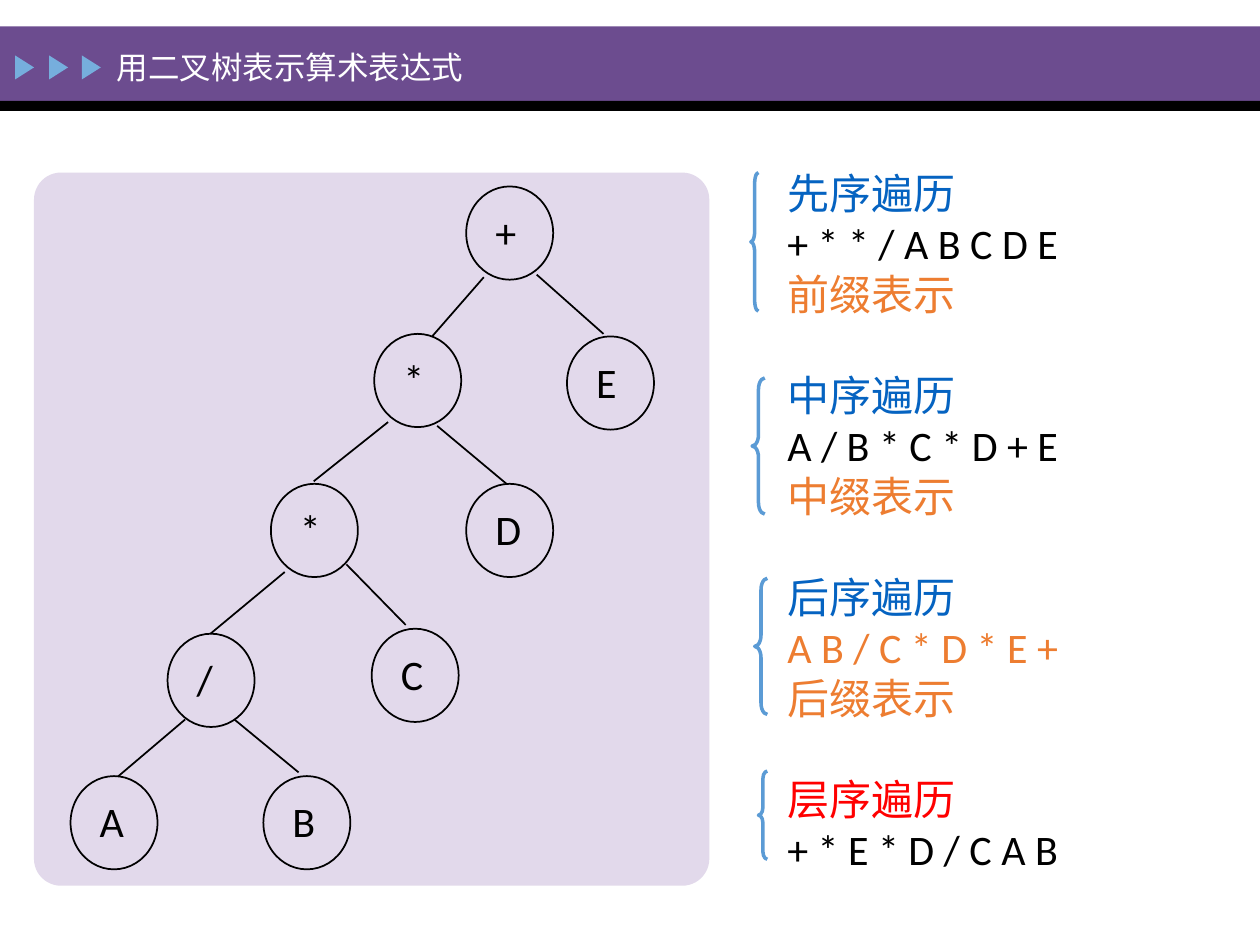
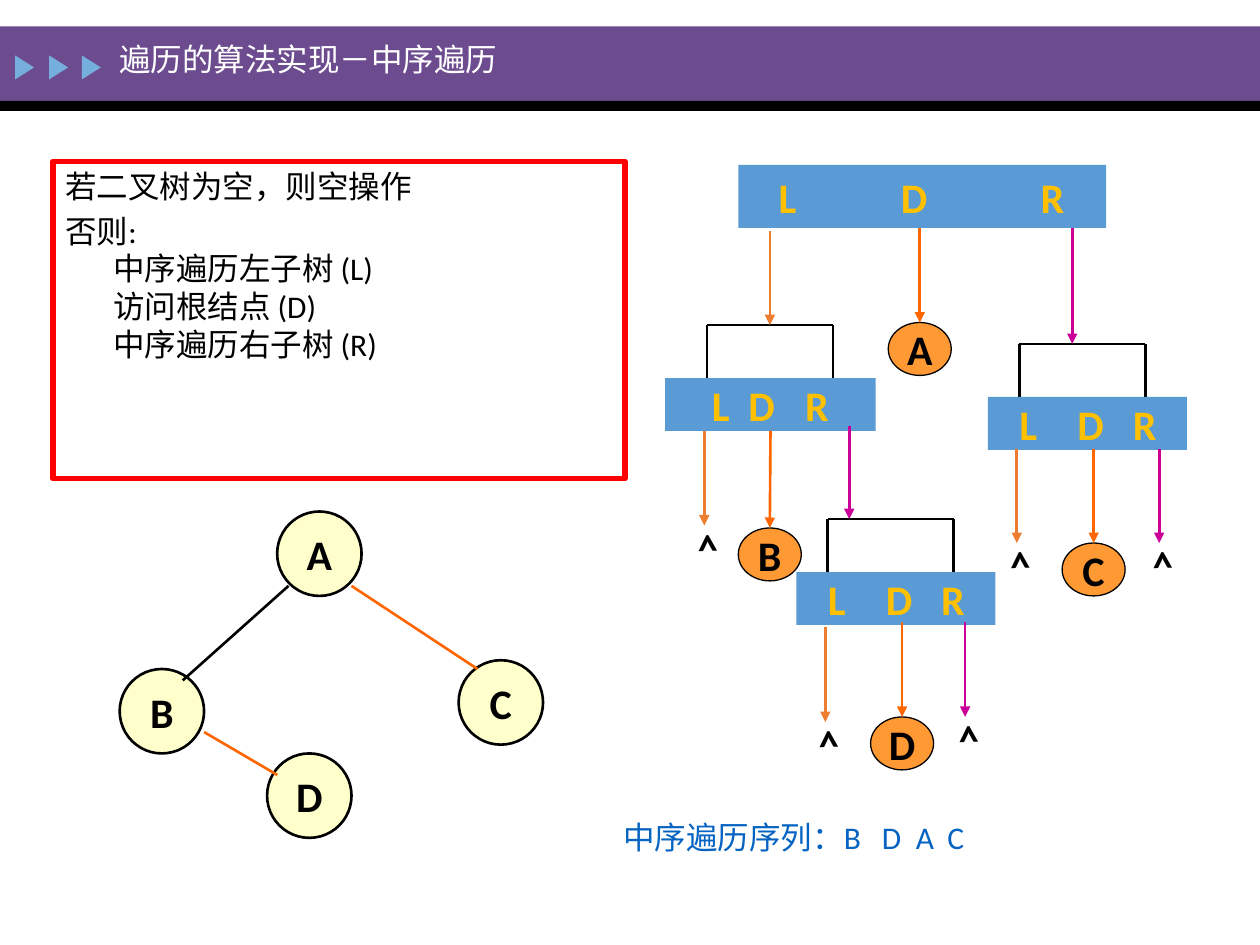
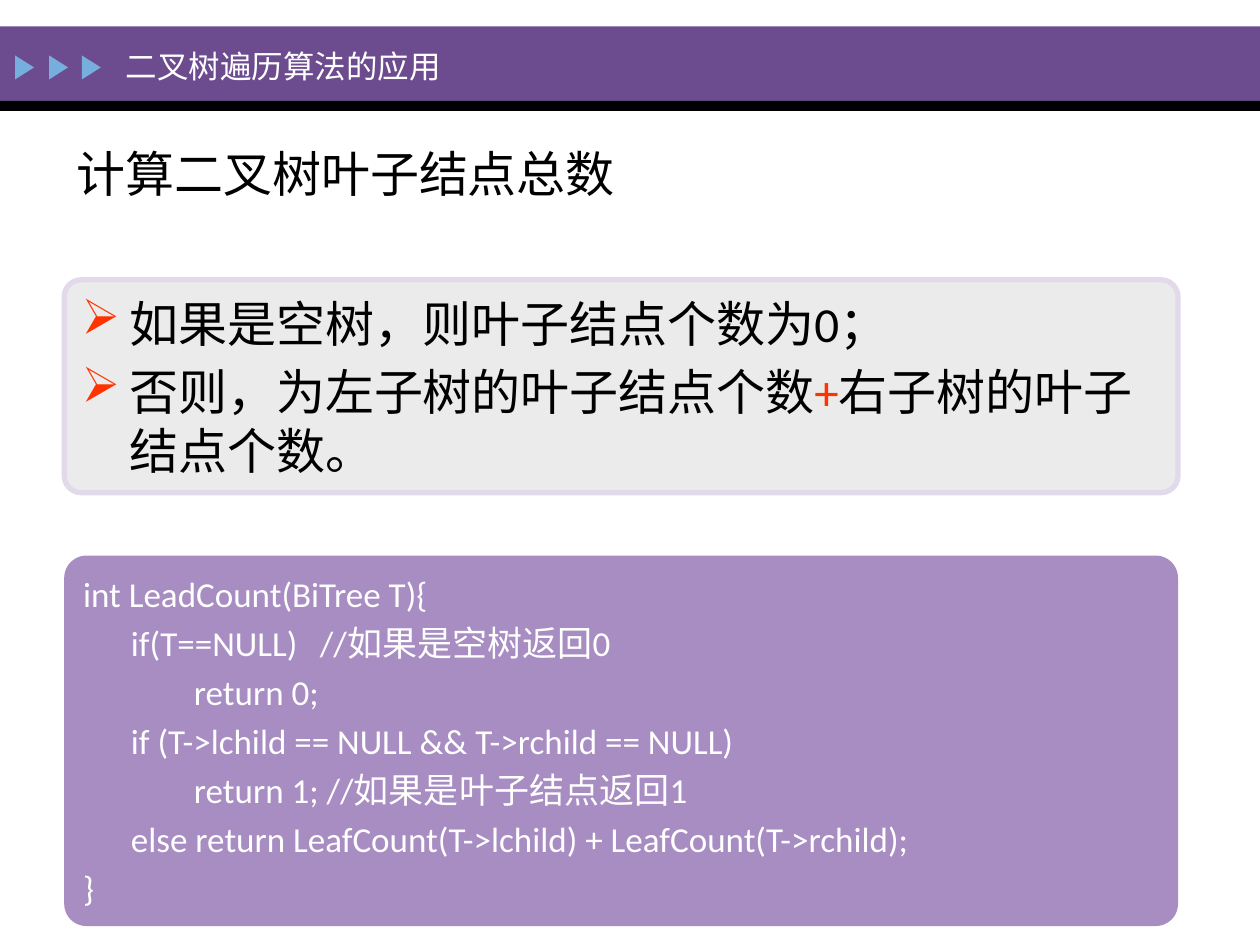
from dataclasses import dataclass
from typing import NamedTuple

from lxml.etree import SubElement
from pptx import Presentation
from pptx.dml.color import RGBColor
from pptx.enum.shapes import MSO_CONNECTOR, MSO_SHAPE
from pptx.enum.text import MSO_ANCHOR, PP_ALIGN
from pptx.oxml.ns import qn
from pptx.util import Emu, Pt

PX = 9144  # 100 px to the inch
FONT = "Calibri"
BLACK, WHITE, RED = "000000", "FFFFFF", "FF0000"
PURPLE, LILAC, VIOLET = "6C4C8F", "E2D9EB", "A78DC2"
BLUE, LINK_BLUE, SKY = "5B9BD5", "0563C1", "76AEDD"
ORANGE, VISIT_ORANGE, MAGENTA = "ED7D31", "FF6600", "CC0099"
GOLD, CREAM, APRICOT = "FFC000", "FFFFCC", "FF9933"
GREY, BULLET_RED = "EBEBEB", "FF3300"
HANGING = 38


class Box(NamedTuple):
    left: int
    top: int
    width: int
    height: int


class Edge(NamedTuple):
    x1: int
    y1: int
    x2: int
    y2: int
    color: str = BLACK


class Node(NamedTuple):
    label: str
    left: int
    top: int


class Span(NamedTuple):
    text: str
    color: str = BLACK


@dataclass(frozen=True)
class Line:
    spans: tuple[Span, ...]
    before: float = 0
    hanging: bool = False
    bullet: str = ""
    tabs: tuple[int, ...] = ()


@dataclass(frozen=True)
class Traversal:
    name: str
    sequence: str
    brace: Box
    curl: float
    notation: str = ""
    name_color: str = LINK_BLUE
    sequence_color: str = BLACK


@dataclass(frozen=True)
class Call:
    """One recursive call: its L D R bar, and the bracket and arrow above it."""
    bar: Box
    bracket_left: int
    arrow_x: int
    arrow_top: int
    arrow_color: str
    inset: int
    tabs: tuple[int, ...]


def px(value: float) -> Emu:
    return Emu(round(value * PX))


def rgb(color: str) -> RGBColor:
    return RGBColor.from_string(color)


def plain(text: str, color: str = BLACK, **layout) -> Line:
    return Line((Span(text, color),), **layout)


def add_bullet(properties, bullet: str) -> None:
    tint = SubElement(properties, qn("a:buClr"))
    SubElement(tint, qn("a:srgbClr"), val=BULLET_RED)
    SubElement(properties, qn("a:buChar"), char=bullet)


def add_tabs(properties, tabs: tuple[int, ...]) -> None:
    stops = SubElement(properties, qn("a:tabLst"))
    for stop in tabs:
        SubElement(stops, qn("a:tab"), pos=str(px(stop)), algn="l")


def write(frame, lines: list[Line], size: int, bold: bool = False,
          align=PP_ALIGN.LEFT, anchor=MSO_ANCHOR.TOP) -> None:
    frame.word_wrap = True
    frame.vertical_anchor = anchor
    for index, line in enumerate(lines):
        paragraph = frame.add_paragraph() if index else frame.paragraphs[0]
        paragraph.alignment = align
        if index and line.before:
            paragraph.space_before = Pt(line.before)
        properties = paragraph._p.get_or_add_pPr()
        if line.hanging:
            properties.set("marL", str(px(HANGING)))
            properties.set("indent", str(px(-HANGING)))
        if line.bullet:
            add_bullet(properties, line.bullet)
        if line.tabs:
            add_tabs(properties, line.tabs)
        for span in line.spans:
            for row, piece in enumerate(span.text.split("\n")):
                if row:
                    paragraph.add_line_break()
                run = paragraph.add_run()
                run.text = piece
                run.font.name = FONT
                run.font.size = Pt(size)
                run.font.bold = bold
                run.font.color.rgb = rgb(span.color)


def add_shape(slide, kind, box: Box, fill: str = "", line: str = "",
              weight: float = 1, adjust: float | None = None):
    shape = slide.shapes.add_shape(kind, *map(px, box))
    shape.shadow.inherit = False
    if fill:
        shape.fill.solid()
        shape.fill.fore_color.rgb = rgb(fill)
    else:
        shape.fill.background()
    if line:
        shape.line.color.rgb = rgb(line)
        shape.line.width = Pt(weight)
    else:
        shape.line.fill.background()
    if adjust is not None:
        shape.adjustments[0] = adjust
    return shape


def add_text(slide, box: Box, lines: list[Line], size: int, **layout):
    label = slide.shapes.add_textbox(*map(px, box))
    write(label.text_frame, lines, size, **layout)
    return label


def add_edge(slide, edge: Edge, weight: float = 1.5, arrow: bool = False):
    ends = map(px, (edge.x1, edge.y1, edge.x2, edge.y2))
    connector = slide.shapes.add_connector(MSO_CONNECTOR.STRAIGHT, *ends)
    connector.line.color.rgb = rgb(edge.color)
    connector.line.width = Pt(weight)
    if arrow:
        SubElement(connector.line._ln, qn("a:tailEnd"), type="triangle")
    SubElement(connector._element.spPr, qn("a:effectLst"))
    return connector


def add_titled_slide(deck, title: str, box: Box):
    slide = deck.slides.add_slide(deck.slide_layouts[6])
    add_shape(slide, MSO_SHAPE.RECTANGLE, Box(0, 21, 1000, 59), PURPLE)
    add_shape(slide, MSO_SHAPE.RECTANGLE, Box(0, 80, 1000, 8), BLACK)
    for left in (10, 37, 63):
        pointer = add_shape(slide, MSO_SHAPE.ISOSCELES_TRIANGLE,
                            Box(left, 46, 19, 15), SKY)
        pointer.rotation = 90
    add_text(slide, box, [plain(title, WHITE)], 18, anchor=MSO_ANCHOR.MIDDLE)
    return slide


def add_disc(slide, node: Node, width: int, height: int, fill: str, weight: float):
    disc = add_shape(slide, MSO_SHAPE.OVAL, Box(node.left, node.top, width, height),
                     fill, BLACK, weight)
    frame = disc.text_frame
    write(frame, [plain(node.label)], 24, bold=True,
          align=PP_ALIGN.CENTER, anchor=MSO_ANCHOR.MIDDLE)
    frame.word_wrap = False
    return disc


EXPRESSION_NODES = [
    Node("+", 370, 148), Node("*", 297, 265), Node("E", 450, 267),
    Node("*", 215, 384), Node("D", 370, 384), Node("/", 133, 503),
    Node("C", 295, 499), Node("A", 56, 616), Node("B", 209, 616),
]
EXPRESSION_EDGES = [
    Edge(384, 220, 343, 267), Edge(426, 218, 479, 265),
    Edge(308, 335, 249, 382), Edge(347, 338, 402, 384),
    Edge(226, 454, 167, 503), Edge(275, 448, 322, 496),
    Edge(147, 571, 94, 616), Edge(186, 571, 237, 613),
]
TRAVERSALS = [
    Traversal("先序遍历", "+ * * / A B C D E", Box(596, 137, 6, 110), 1.42, "前缀表示"),
    Traversal("中序遍历", "A / B * C * D + E", Box(597, 300, 10, 108), 0.9, "中缀表示"),
    Traversal("后序遍历", "A B / C * D * E +", Box(599, 459, 10, 108), 0.9, "后缀表示",
              sequence_color=ORANGE),
    Traversal("层序遍历", "+ * E * D / C A B", Box(602, 612, 7, 70), 0.86,
              name_color=RED),
]


def build_expression_slide(deck) -> None:
    slide = add_titled_slide(deck, "用二叉树表示算术表达式", Box(83, 25, 586, 56))
    add_shape(slide, MSO_SHAPE.ROUNDED_RECTANGLE, Box(27, 137, 536, 566), LILAC,
              adjust=0.04)
    for node in EXPRESSION_NODES:
        disc = add_shape(slide, MSO_SHAPE.OVAL, Box(node.left, node.top, 69, 74),
                         line=BLACK)
        frame = disc.text_frame
        frame.margin_left, frame.margin_right = px(13), 0
        write(frame, [plain(node.label)], 24)
    for edge in EXPRESSION_EDGES:
        add_edge(slide, edge, weight=1)

    lines = []
    for traversal in TRAVERSALS:
        lines.append(plain(traversal.name, traversal.name_color, before=29))
        lines.append(plain(traversal.sequence, traversal.sequence_color))
        if traversal.notation:
            lines.append(plain(traversal.notation, ORANGE))
        add_shape(slide, MSO_SHAPE.LEFT_BRACE, traversal.brace, line=BLUE, weight=2,
                  adjust=traversal.curl)
    add_text(slide, Box(615, 128, 266, 576), lines, 24)


TREE_NODES = [Node("A", 220, 406), Node("D", 212, 598),
              Node("B", 95, 531), Node("C", 364, 524)]
TREE_EDGES = [Edge(229, 465, 145, 540), Edge(279, 465, 379, 531, VISIT_ORANGE),
              Edge(162, 581, 220, 615, VISIT_ORANGE)]
LEFT_CALL = Call(Box(528, 300, 167, 42), 561, 611, 183, ORANGE, 37, (29, 74))
RIGHT_CALL = Call(Box(784, 315, 158, 42), 809, 851, 181, MAGENTA, 25, (46, 90))
INNER_CALL = Call(Box(632, 454, 158, 42), 657, 674, 338, MAGENTA, 25, (46, 90))
VISITS = [Node("A", 705, 256), Node("B", 586, 419),
          Node("C", 843, 431), Node("D", 691, 569)]
NULL_BRANCHES = [(559, 342, ORANGE), (766, 494, MAGENTA), (655, 498, ORANGE),
                 (920, 356, MAGENTA), (807, 356, ORANGE)]
ARROW_LENGTH = 75
BRACKET_WIDTH, BRACKET_HEIGHT = 100, 42


def add_ldr_bar(slide, box: Box, inset: int, tabs: tuple[int, ...]):
    bar = add_shape(slide, MSO_SHAPE.RECTANGLE, box, BLUE)
    bar.text_frame.margin_left, bar.text_frame.margin_right = px(inset), 0
    write(bar.text_frame, [plain("L\tD\tR", GOLD, tabs=tabs)], 24, bold=True,
          anchor=MSO_ANCHOR.MIDDLE)
    return bar


def add_call(slide, call: Call):
    bottom = call.bar.top
    top = bottom - BRACKET_HEIGHT
    left, right = call.bracket_left, call.bracket_left + BRACKET_WIDTH
    add_edge(slide, Edge(left, top, right, top))
    for x in (left, right):
        add_edge(slide, Edge(x, top, x, bottom))
    bar = add_ldr_bar(slide, call.bar, call.inset, call.tabs)
    add_edge(slide, Edge(call.arrow_x, call.arrow_top, call.arrow_x, top,
                         call.arrow_color), arrow=True)
    return bar


def add_visit(slide, visit: Node):
    disc = add_disc(slide, visit, 50, 42, APRICOT, 0.75)
    x = visit.left + 25
    arrow = add_edge(slide, Edge(x, visit.top - ARROW_LENGTH, x, visit.top,
                                 VISIT_ORANGE), arrow=True)
    arrow.end_connect(disc, 0)
    return arrow


def build_inorder_slide(deck) -> None:
    slide = add_titled_slide(deck, "遍历的算法实现－中序遍历", Box(85, 19, 644, 56))
    rules = add_shape(slide, MSO_SHAPE.RECTANGLE, Box(42, 128, 454, 252),
                      line=RED, weight=3)
    steps = "否则:\n中序遍历左子树 (L)\n访问根结点 (D)\n中序遍历右子树 (R)"
    write(rules.text_frame,
          [plain(text, before=3.6, hanging=True)
           for text in ("若二叉树为空，则空操作", steps)], 18)

    for node in TREE_NODES:
        add_disc(slide, node, 67, 67, CREAM, 1.5)
    for edge in TREE_EDGES:
        add_edge(slide, edge)

    add_ldr_bar(slide, Box(586, 131, 292, 50), 32, (97, 208))
    left_bar = add_call(slide, LEFT_CALL)
    for call in (INNER_CALL, RIGHT_CALL):
        add_call(slide, call)
    arrows = {visit.label: add_visit(slide, visit) for visit in VISITS}
    arrows["B"].begin_connect(left_bar, 2)

    for x, top, color in NULL_BRANCHES:
        caret = add_text(slide, Box(x - 21, top + 62, 42, 50), [plain(">")], 24,
                         bold=True)
        caret.rotation = 268.3
        add_edge(slide, Edge(x, top, x, top + ARROW_LENGTH, color), arrow=True)

    add_text(slide, Box(485, 644, 490, 57),
             [plain("中序遍历序列：B\tD\tA\tC", LINK_BLUE, tabs=(205, 232, 257))], 18)


LEAF_RULES = [
    (Span("如果是空树，则叶子结点个数为0；"),),
    (Span("否则，为左子树的叶子结点个数"), Span("+", BULLET_RED),
     Span("右子树的叶子结点个数。")),
]
LEAF_CODE = [
    "int LeadCount(BiTree T){",
    " \tif(T==NULL) \t//如果是空树返回0",
    "\t\treturn 0;",
    "\tif (T->lchild == NULL && T->rchild == NULL)",
    "\t\treturn 1; //如果是叶子结点返回1",
    "\telse return LeafCount(T->lchild) + LeafCount(T->rchild);",
    "}",
]


def build_leaf_count_slide(deck) -> None:
    slide = add_titled_slide(deck, "二叉树遍历算法的应用", Box(90, 24, 727, 56))
    add_text(slide, Box(51, 109, 653, 57), [plain("计算二叉树叶子结点总数")], 28,
             anchor=MSO_ANCHOR.MIDDLE)
    rules = add_shape(slide, MSO_SHAPE.ROUNDED_RECTANGLE, Box(51, 222, 884, 169),
                      GREY, LILAC, 3, adjust=0.08)
    write(rules.text_frame,
          [Line(spans, before=5.6, hanging=True, bullet="➢") for spans in LEAF_RULES],
          28, anchor=MSO_ANCHOR.MIDDLE)
    code = add_shape(slide, MSO_SHAPE.ROUNDED_RECTANGLE, Box(51, 441, 884, 294),
                     VIOLET, adjust=0.06)
    write(code.text_frame,
          [plain(text, WHITE, before=4, hanging=True) for text in LEAF_CODE],
          20, anchor=MSO_ANCHOR.MIDDLE)


def main() -> None:
    deck = Presentation()
    deck.slide_width, deck.slide_height = px(1000), px(750)
    build_expression_slide(deck)
    build_inorder_slide(deck)
    build_leaf_count_slide(deck)
    deck.save("out.pptx")


if __name__ == "__main__":
    main()
